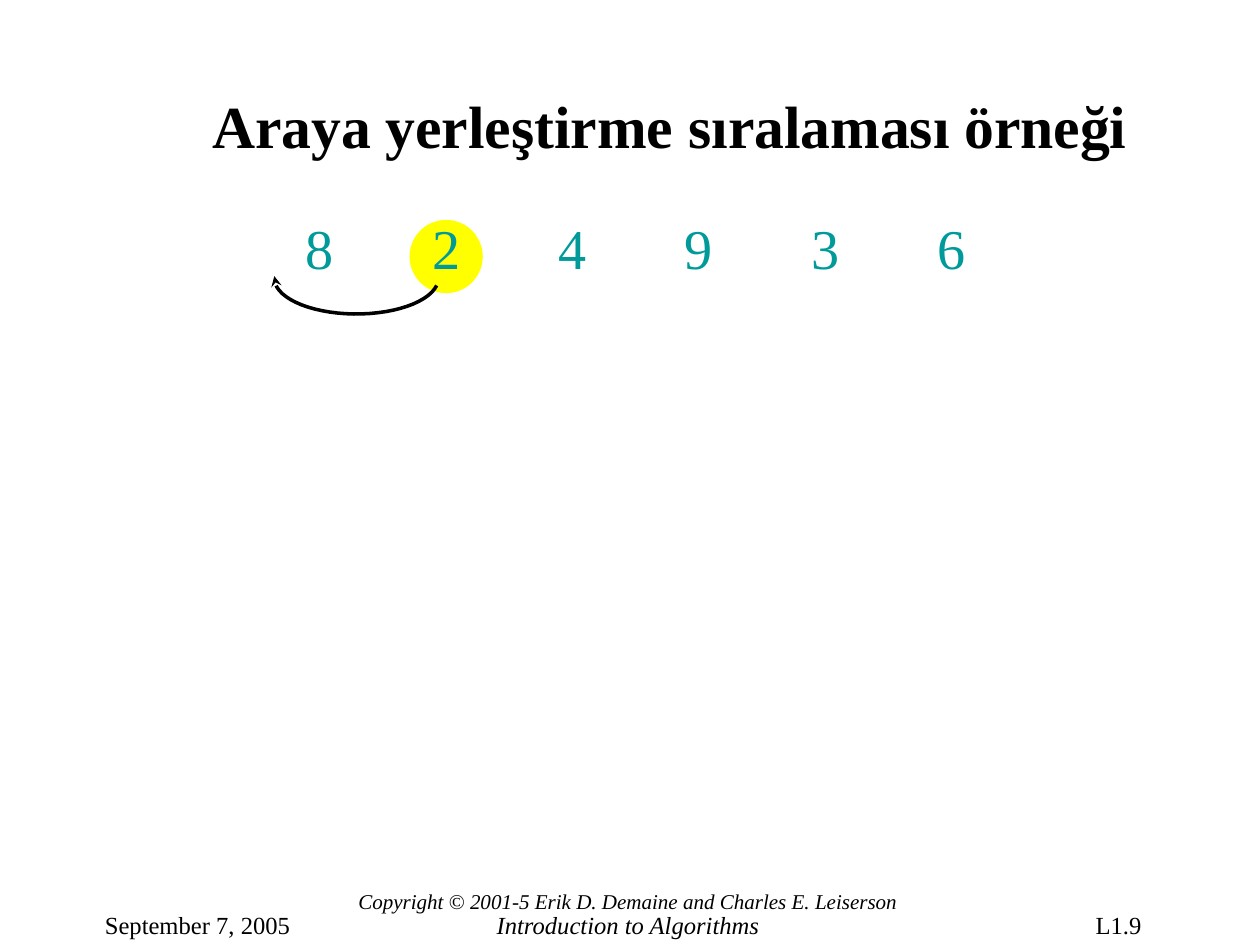
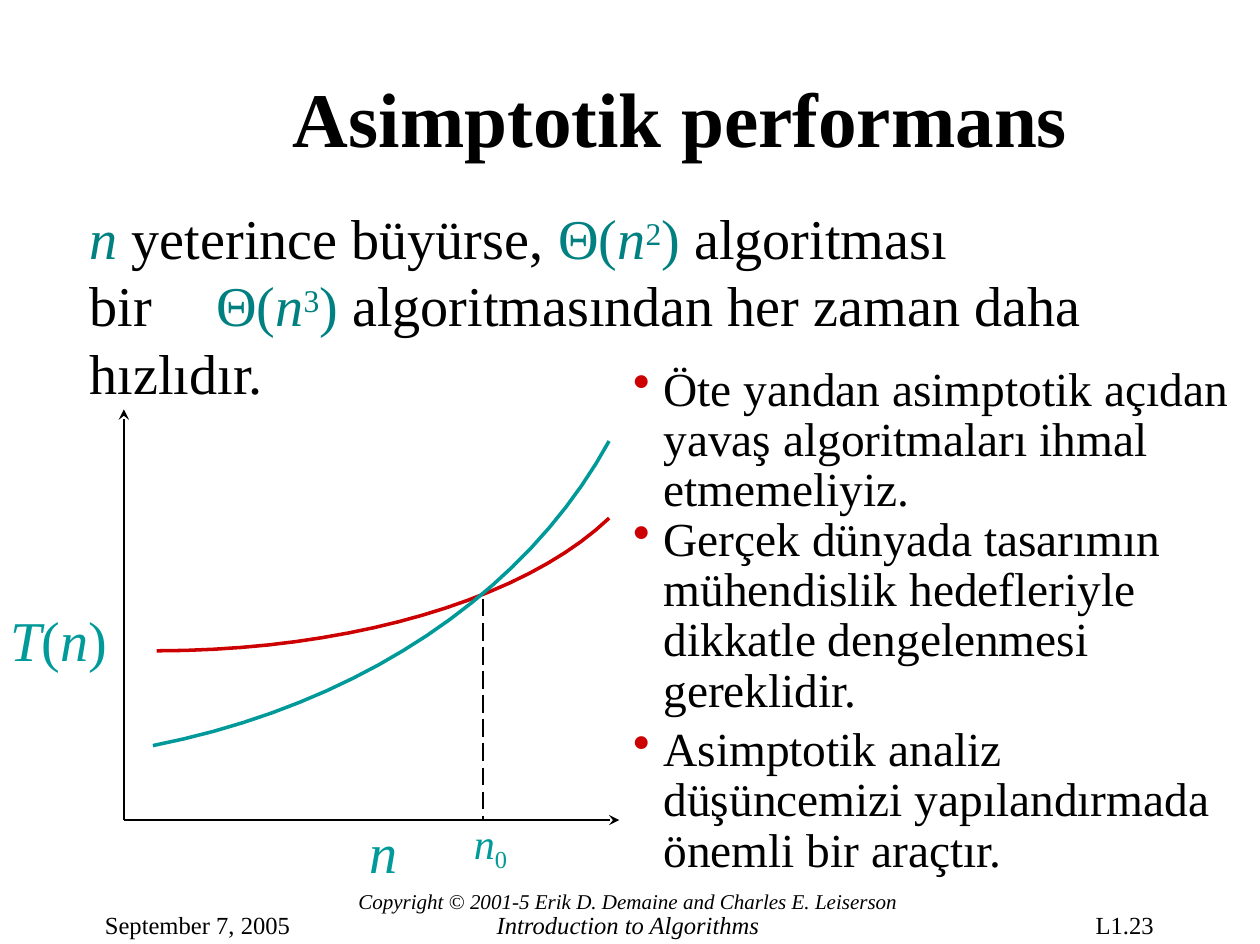
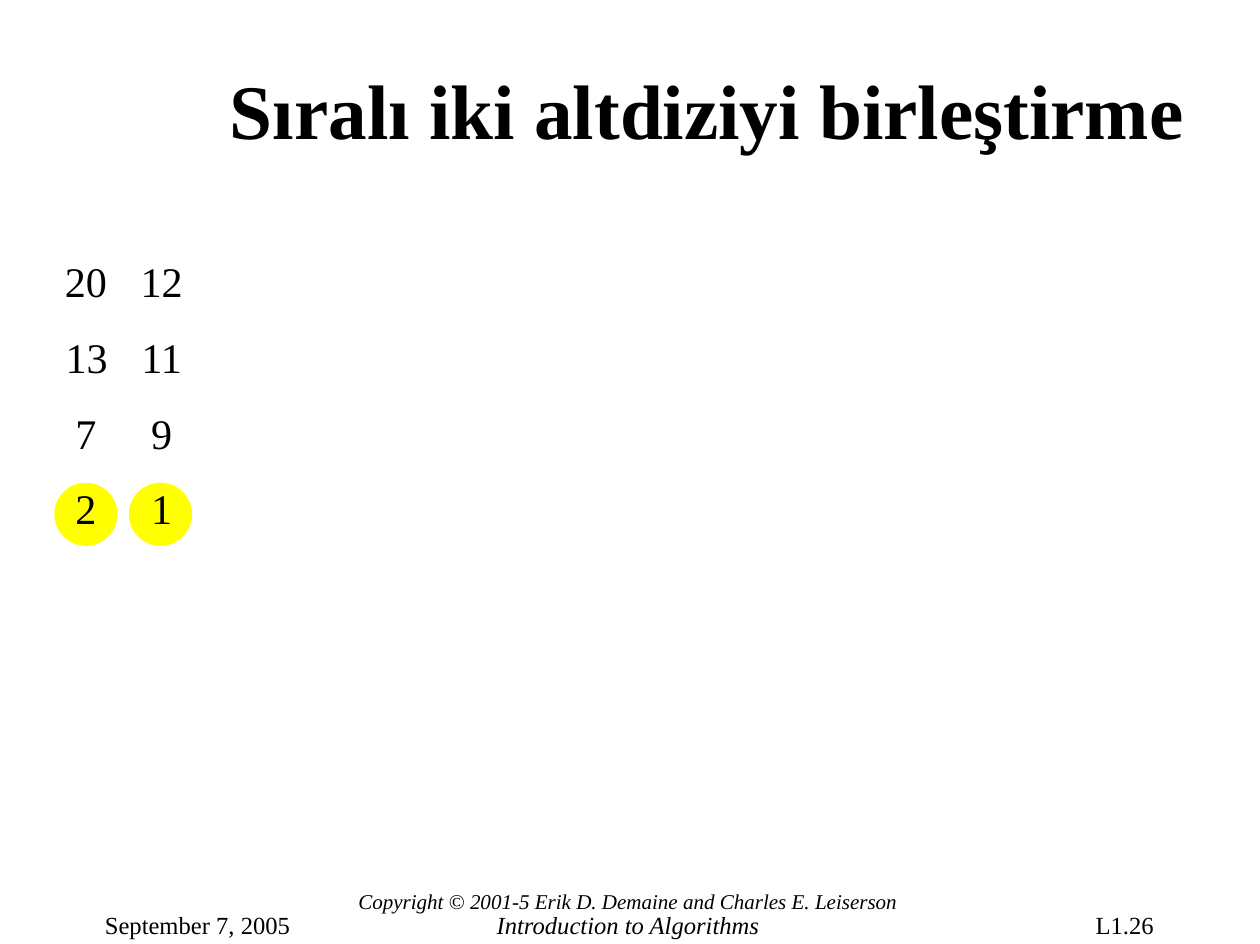
from dataclasses import dataclass
from math import cos, radians, sin

from lxml.etree import SubElement
from pptx import Presentation
from pptx.dml.color import RGBColor
from pptx.enum.dml import MSO_LINE
from pptx.enum.shapes import MSO_CONNECTOR, MSO_SHAPE
from pptx.enum.text import PP_ALIGN
from pptx.oxml.ns import qn
from pptx.util import Pt

PX = 9144
SLIDE_SIZE = (997, 747)


@dataclass(frozen=True)
class Theme:
    font: str = "Times New Roman"
    ink: str = "000000"
    teal: str = "009A9A"
    deep_teal: str = "008080"
    curve_teal: str = "009999"
    red: str = "CC0000"
    highlight: str = "FFFF00"
    title: int = 44
    long_title: int = 34
    body: int = 32
    script: int = 31
    bullet: int = 27
    label: int = 24
    footer: int = 14
    copyright: int = 12
    curve_width: float = 2
    axis_width: float = 1.25


THEME = Theme()

FOOTER_DATE = "September 7, 2005"
FOOTER_LINES = [
    [("Copyright © 2001-5 Erik D. Demaine and Charles E. Leiserson", {"size": THEME.copyright})],
    "Introduction to Algorithms",
]

INSERTION = {
    "title": "Araya yerleştirme sıralaması örneği",
    "page": "L1.9",
    "keys": [8, 2, 4, 9, 3, 6],
    "pitch": 100,
    "moving_key": (324, 174, 58),
    "arc": {"center": (282, 220), "radii": (65, 28.5), "degrees": (12, 183)},
}

TEAL = {"color": THEME.deep_teal}
TEAL_ITALIC = {**TEAL, "italic": True}
POWER = {**TEAL, "size": THEME.script, "baseline": 26}
ITALIC = {"italic": True}

ASYMPTOTIC = {
    "title": "Asimptotik performans",
    "page": "L1.23",
    "claim": [
        [("n ", TEAL_ITALIC), ("yeterince büyürse, ", {}), ("Θ(", TEAL), ("n", TEAL_ITALIC),
         ("2", POWER), (") ", TEAL), ("algoritması", {})],
        [("bir\t", {}), ("Θ(", TEAL), ("n", TEAL_ITALIC), ("3", POWER), (") ", TEAL),
         ("algoritmasından her zaman daha hızlıdır.", {})],
    ],
    "remarks": [
        "Öte yandan asimptotik açıdan yavaş algoritmaları ihmal etmemeliyiz.",
        "Gerçek dünyada tasarımın mühendislik hedefleriyle dikkatle dengelenmesi gereklidir.",
        "Asimptotik analiz düşüncemizi yapılandırmada önemli bir araçtır.",
    ],
    "axis_labels": [
        ((8, 479, 79, 54), [("T", ITALIC), ("(", {}), ("n", ITALIC), (")", {})], THEME.body),
        ((292, 647, 25, 55), [("n", ITALIC)], THEME.body),
        ((375, 647, 31, 47), [("n", ITALIC), ("0", {"baseline": -21})], THEME.label),
    ],
    "origin": (98, 649),
    "axis_ends": [(98, 324), (490, 649)],
    "crossing": (382, 474),
    "curves": [
        (THEME.red, [(124, 515), (275, 515), (414, 475), (482, 410)]),
        (THEME.curve_teal, [(121, 590), (284, 558), (416, 470), (482, 349)]),
    ],
}

MERGE = {
    "title": "Sıralı iki altdiziyi birleştirme",
    "page": "L1.26",
    "rows": [(20, 12), (13, 11), (7, 9), (2, 1)],
    "pitch": 60,
    "heads": [(43, 382, 50), (102, 382, 50)],
}


def emu(px):
    return round(px * PX)


def rgb(color):
    return RGBColor.from_string(color)


def add_bullet(properties, color, hang):
    properties.set("marL", str(emu(26)))
    properties.set("indent", str(-emu(hang)))
    bullet_color = SubElement(properties, qn("a:buClr"))
    SubElement(bullet_color, qn("a:srgbClr"), val=color)
    SubElement(properties, qn("a:buSzPct"), val="104000")
    SubElement(properties, qn("a:buChar"), char="•")


def add_tabs(properties, stops):
    tab_list = SubElement(properties, qn("a:tabLst"))
    for stop in stops:
        SubElement(tab_list, qn("a:tab"), pos=str(emu(stop)), algn="l")


def write_text(slide, box, paragraphs, *, size, color=THEME.ink, bold=False, italic=False,
               align=PP_ALIGN.LEFT, tabs=(), bullet=None, spacing=None, before=None):
    frame = slide.shapes.add_textbox(*map(emu, box)).text_frame
    frame.word_wrap = True
    frame.margin_left = frame.margin_top = frame.margin_right = frame.margin_bottom = 0
    for index, content in enumerate(paragraphs):
        paragraph = frame.add_paragraph() if index else frame.paragraphs[0]
        properties = paragraph._p.get_or_add_pPr()
        if bullet:
            add_bullet(properties, bullet, 24)
        if tabs:
            add_tabs(properties, tabs)
        paragraph.alignment = align
        if spacing:
            paragraph.line_spacing = spacing
        if before and index:
            paragraph.space_before = Pt(before[index - 1])
        runs = [(content, {})] if isinstance(content, str) else content
        for words, style in runs:
            run = paragraph.add_run()
            run.text = words
            font = run.font
            font.name = THEME.font
            font.size = Pt(style.get("size", size))
            font.bold = bold
            font.italic = style.get("italic", italic)
            font.color.rgb = rgb(style.get("color", color))
            if "baseline" in style:
                run._r.get_or_add_rPr().set("baseline", str(style["baseline"] * 1000))
    return frame


def style_line(shape, color, width, arrow=False):
    shape.line.color.rgb = rgb(color)
    shape.line.width = Pt(width)
    if arrow:
        SubElement(shape.line._get_or_add_ln(), qn("a:tailEnd"), type="stealth")


def draw_line(slide, start, end, arrow=False, dash=None):
    line = slide.shapes.add_connector(MSO_CONNECTOR.STRAIGHT, *map(emu, (*start, *end)))
    if dash:
        line.line.dash_style = dash
    style_line(line, THEME.ink, THEME.axis_width, arrow)
    SubElement(line._element.spPr, qn("a:effectLst"))


def draw_curve(slide, points, color, arrow=False):
    outline = [(emu(x), emu(y)) for x, y in points]
    builder = slide.shapes.build_freeform(*outline[0])
    builder.add_line_segments(outline[1:], close=False)
    curve = builder.convert_to_shape()
    curve.shadow.inherit = False
    curve.fill.background()
    style_line(curve, color, THEME.curve_width, arrow)


def draw_highlight(slide, left, top, diameter):
    disc = slide.shapes.add_shape(MSO_SHAPE.OVAL, *map(emu, (left, top, diameter, diameter)))
    disc.shadow.inherit = False
    disc.fill.solid()
    disc.fill.fore_color.rgb = rgb(THEME.highlight)
    disc.line.fill.background()


def bezier(controls, steps=20):
    for step in range(steps + 1):
        t = step / steps
        weights = ((1 - t) ** 3, 3 * t * (1 - t) ** 2, 3 * t * t * (1 - t), t ** 3)
        yield tuple(sum(w * p[axis] for w, p in zip(weights, controls)) for axis in (0, 1))


def elliptic_arc(center, radii, degrees, steps=30):
    first, last = degrees
    for step in range(steps + 1):
        angle = radians(first + (last - first) * step / steps)
        yield center[0] + radii[0] * cos(angle), center[1] + radii[1] * sin(angle)


def start_slide(deck, content, title_box, title_size=THEME.title):
    slide = deck.slides.add_slide(deck.slide_layouts[6])
    write_text(slide, title_box, [content["title"]], size=title_size, bold=True,
               align=PP_ALIGN.CENTER)
    footer = write_text(slide, (282, 703, 430, 41), FOOTER_LINES, size=THEME.footer,
                        italic=True, align=PP_ALIGN.CENTER)
    footer.paragraphs[1].line_spacing = Pt(14.5)
    for box, words in [((83, 720, 149, 25), FOOTER_DATE), ((867, 720, 50, 25), content["page"])]:
        write_text(slide, box, [words], size=THEME.footer)
    return slide


def build_insertion(deck):
    slide = start_slide(deck, INSERTION, (166, 70, 728, 56), THEME.long_title)
    draw_highlight(slide, *INSERTION["moving_key"])
    keys = INSERTION["keys"]
    write_text(slide, (242, 169, 525, 53), ["\t".join(map(str, keys))], size=THEME.body,
               color=THEME.teal, tabs=[INSERTION["pitch"] * i for i in range(1, len(keys))])
    draw_curve(slide, elliptic_arc(**INSERTION["arc"]), THEME.ink, arrow=True)


def build_asymptotic(deck):
    slide = start_slide(deck, ASYMPTOTIC, (167, 56, 743, 74))
    origin, crossing = ASYMPTOTIC["origin"], ASYMPTOTIC["crossing"]
    for end in ASYMPTOTIC["axis_ends"]:
        draw_line(slide, origin, end, arrow=True)
    for color, controls in ASYMPTOTIC["curves"]:
        draw_curve(slide, bezier(controls), color)
    draw_line(slide, crossing, (crossing[0], origin[1]), dash=MSO_LINE.LONG_DASH)
    for box, label, size in ASYMPTOTIC["axis_labels"]:
        write_text(slide, box, [label], size=size, color=THEME.teal)
    write_text(slide, (71, 161, 911, 293), ASYMPTOTIC["claim"], size=THEME.body, tabs=[100])
    write_text(slide, (499, 290, 491, 413), ASYMPTOTIC["remarks"], size=THEME.bullet,
               bullet=THEME.red, spacing=0.88, before=[0, 5.5])


def build_merge(deck):
    slide = start_slide(deck, MERGE, (145, 49, 830, 74))
    for head in MERGE["heads"]:
        draw_highlight(slide, *head)
    rows = ["\t".join(map(str, row)) for row in MERGE["rows"]]
    write_text(slide, (50, 202, 96, 221), rows, size=THEME.label, align=PP_ALIGN.CENTER,
               tabs=[MERGE["pitch"]], before=[14.4] * (len(rows) - 1))


def main():
    deck = Presentation()
    deck.slide_width, deck.slide_height = map(emu, SLIDE_SIZE)
    for build in (build_insertion, build_asymptotic, build_merge):
        build(deck)
    deck.save("out.pptx")


if __name__ == "__main__":
    main()
